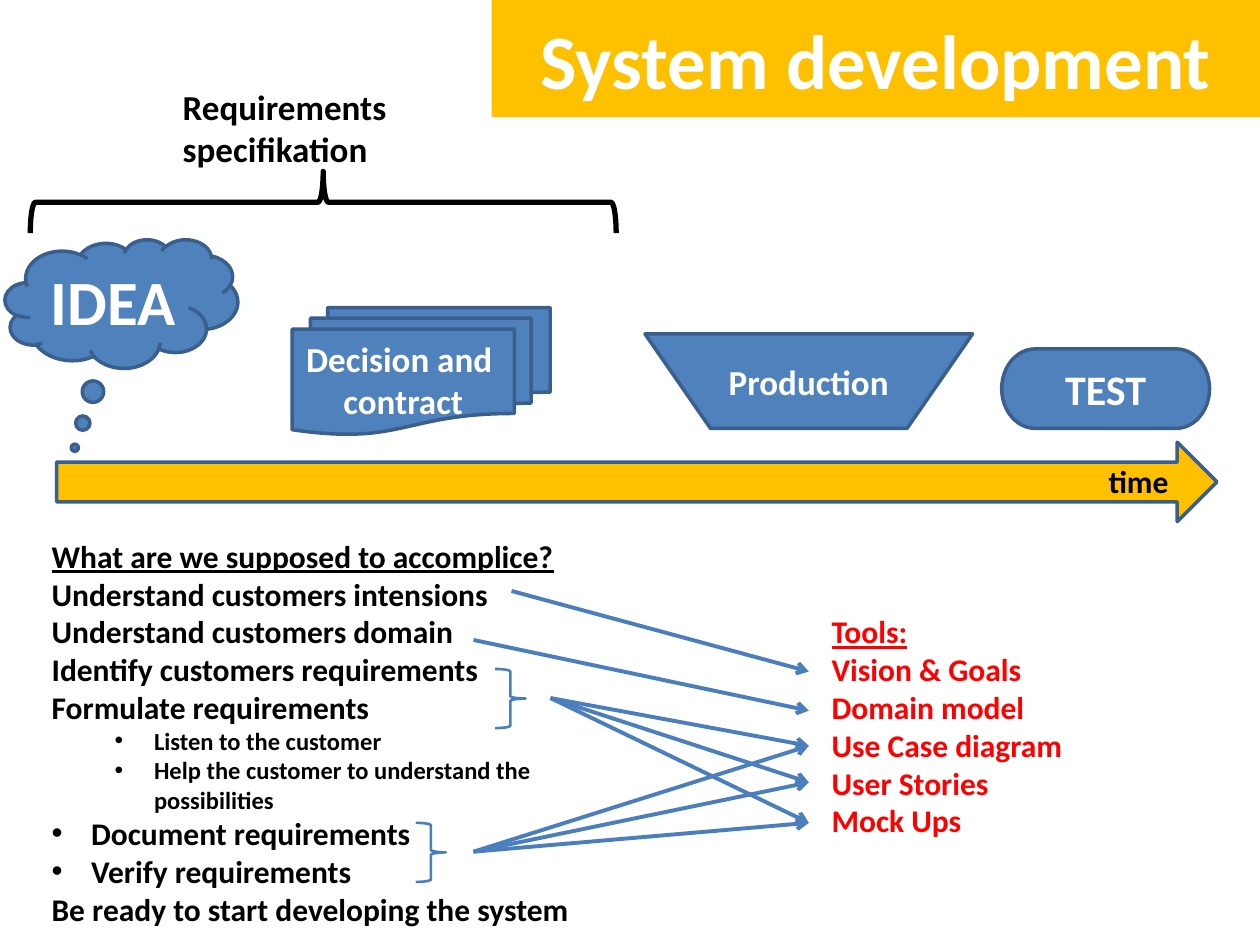
from lxml.etree import SubElement
from pptx import Presentation
from pptx.dml.color import RGBColor
from pptx.enum.shapes import MSO_CONNECTOR, MSO_SHAPE
from pptx.enum.text import MSO_ANCHOR, MSO_AUTO_SIZE, PP_ALIGN
from pptx.oxml.ns import qn
from pptx.util import Pt

COLORS = {
    "gold": "FFC000",
    "blue": "4F81BD",
    "outline": "3A5F8C",
    "link": "4B7EBC",
    "black": "000000",
    "white": "FFFFFF",
    "red": "FF0000",
}

GOALS = [
    ("What are we supposed to accomplice?", {"underline": True}),
    ("Understand customers intensions", {}),
    ("Understand customers domain", {}),
    ("Identify customers requirements", {}),
    ("Formulate requirements", {}),
    ("Listen to the customer", {"size": 14, "level": 1, "bullet": True}),
    ("Help the customer to understand the possibilities", {"size": 14, "level": 1, "bullet": True}),
    ("Document requirements", {"bullet": True}),
    ("Verify requirements", {"bullet": True}),
    ("Be ready to start developing the system", {}),
]
TOOLS = [
    ("Tools:", {"underline": True}),
    ("Vision & Goals", {}),
    ("Domain model", {}),
    ("Use Case diagram", {}),
    ("User Stories", {}),
    ("Mock Ups", {}),
]


def color(name):
    return RGBColor.from_string(COLORS[name])


def place(shape, box):
    shape.left, shape.top, shape.width, shape.height = map(Pt, box)


def write(para, text, size=18, ink="black", align=PP_ALIGN.LEFT, underline=False,
          level=0, bullet=False):
    properties = para._p.get_or_add_pPr()
    hang = 22.5 if bullet else 0
    properties.set("marL", str(Pt(hang + 36 * level)))
    properties.set("indent", str(-Pt(hang)))
    if bullet:
        SubElement(properties, qn("a:buFont")).set("typeface", "Arial")
        SubElement(properties, qn("a:buChar")).set("char", "•")
    else:
        SubElement(properties, qn("a:buNone"))
    para.level = level
    para.alignment = align
    para.space_before = Pt(0)
    span = para.add_run()
    span.text = text
    span.font.name = "Calibri"
    span.font.size = Pt(size)
    span.font.bold = True
    span.font.underline = underline
    span.font.color.rgb = color(ink)


def write_lines(frame, lines, anchor=MSO_ANCHOR.TOP, **style):
    frame.word_wrap = True
    frame.auto_size = MSO_AUTO_SIZE.NONE
    frame.vertical_anchor = anchor
    for index, (text, extra) in enumerate(lines):
        para = frame.add_paragraph() if index else frame.paragraphs[0]
        write(para, text, **{**style, **extra})


def draw_shape(shapes, kind, box, fill=None, line="outline", weight=2):
    shape = shapes.add_shape(kind, *map(Pt, box))
    shape.shadow.inherit = False
    if fill:
        shape.fill.solid()
        shape.fill.fore_color.rgb = color(fill)
    else:
        shape.fill.background()
    shape.line.color.rgb = color(line)
    shape.line.width = Pt(weight)
    return shape


def draw_arrow(page, start, end):
    arrow = page.shapes.add_connector(MSO_CONNECTOR.STRAIGHT, *map(Pt, start + end))
    arrow.line.color.rgb = color("link")
    arrow.line.width = Pt(2.25)
    properties = arrow._element.spPr
    SubElement(properties.find(qn("a:ln")), qn("a:tailEnd")).set("type", "arrow")
    SubElement(properties, qn("a:effectLst"))


def draw_title(page, box):
    title = page.shapes.title
    place(title, box)
    title.fill.solid()
    title.fill.fore_color.rgb = color("gold")
    write_lines(title.text_frame, [("System development", {})], MSO_ANCHOR.MIDDLE,
                size=44, ink="white", align=PP_ALIGN.CENTER)


def draw_list(body, box, lines, ink):
    place(body, box)
    write_lines(body.text_frame, lines, ink=ink)


def draw_timeline(page, box):
    left, top, width, height = box
    group = page.shapes.add_group_shape()
    draw_shape(group.shapes, MSO_SHAPE.RIGHT_ARROW, box, fill="gold")
    label = group.shapes.add_textbox(*map(Pt, (left + width - 69, top + 8, 57.5, 29)))
    write_lines(label.text_frame, [("time", {})])


def draw_specification(page, box):
    left, top, width, height = box
    label = page.shapes.add_textbox(*map(Pt, (left + 80, top, 173.5, 55.5)))
    write_lines(label.text_frame, [("Requirements specifikation", {})], size=20)
    depth = 35.3
    middle = top + height - depth / 2
    brace = draw_shape(
        page.shapes, MSO_SHAPE.RIGHT_BRACE,
        (left + (width - depth) / 2, middle - width / 2, depth, width),
        line="black", weight=3)
    brace.rotation = 270


def draw_phases(page, box):
    left, top, width, height = box
    phases = [
        (MSO_SHAPE.CLOUD_CALLOUT, (0, 0, 133, 73.5), ["IDEA"], 36),
        (MSO_SHAPE.FLOWCHART_MULTIDOCUMENT, (164, 39, 147.5, 72.5),
         ["Decision and ", "contract"], 20),
        (MSO_SHAPE.FLOWCHART_MANUAL_OPERATION, (365.7, 54, 187.2, 54), ["Production"], 20),
        (MSO_SHAPE.FLOWCHART_TERMINATOR, (569.5, 62.6, 118.8, 45.4), ["TEST"], 24),
    ]
    for kind, (x, y, wide, high), lines, size in phases:
        phase = draw_shape(page.shapes, kind, (left + x, top + y, wide, high), fill="blue")
        if kind == MSO_SHAPE.CLOUD_CALLOUT:
            phase.adjustments[0] = -0.2
            phase.adjustments[1] = 1.12
        write_lines(phase.text_frame, [(text, {}) for text in lines], MSO_ANCHOR.MIDDLE,
                    size=size, ink="white", align=PP_ALIGN.CENTER)


def draw_links(page, box):
    left, top, width, height = box
    vision, domain, *requirement_tools = [
        (left + width, top + y) for y in (46, 68.4, 88.5, 109.4, 132.5)]
    draw_arrow(page, (left + 54.7, top), vision)
    draw_arrow(page, (left + 33, top + 28), domain)
    for hub in ((left + 77, top + 61.2), (left + 33, top + 149)):
        for tool in requirement_tools:
            draw_arrow(page, hub, tool)
    for x, y in ((0, 132.5), (45.4, 44.6)):
        draw_shape(page.shapes, MSO_SHAPE.RIGHT_BRACE, (left + x, top + y, 17.3, 33.8),
                   line="link", weight=1.5)


def main():
    deck = Presentation()
    deck.slide_width, deck.slide_height = Pt(720), Pt(540)
    page = deck.slides.add_slide(deck.slide_layouts[3])
    goals, tools = page.placeholders[1], page.placeholders[2]
    draw_title(page, (281, 0, 439, 67))
    draw_timeline(page, (32.4, 252.7, 663, 45.4))
    draw_specification(page, (17.3, 45.4, 334.8, 87.8))
    draw_list(goals, (22.3, 303.1, 329, 232.6), GOALS, "black")
    draw_list(tools, (468, 346.3, 193.7, 157.7), TOOLS, "red")
    draw_links(page, (237.6, 337.7, 224.6, 166.3))
    draw_phases(page, (2.9, 136.8, 688.3, 111.6))
    deck.save("out.pptx")


if __name__ == "__main__":
    main()
